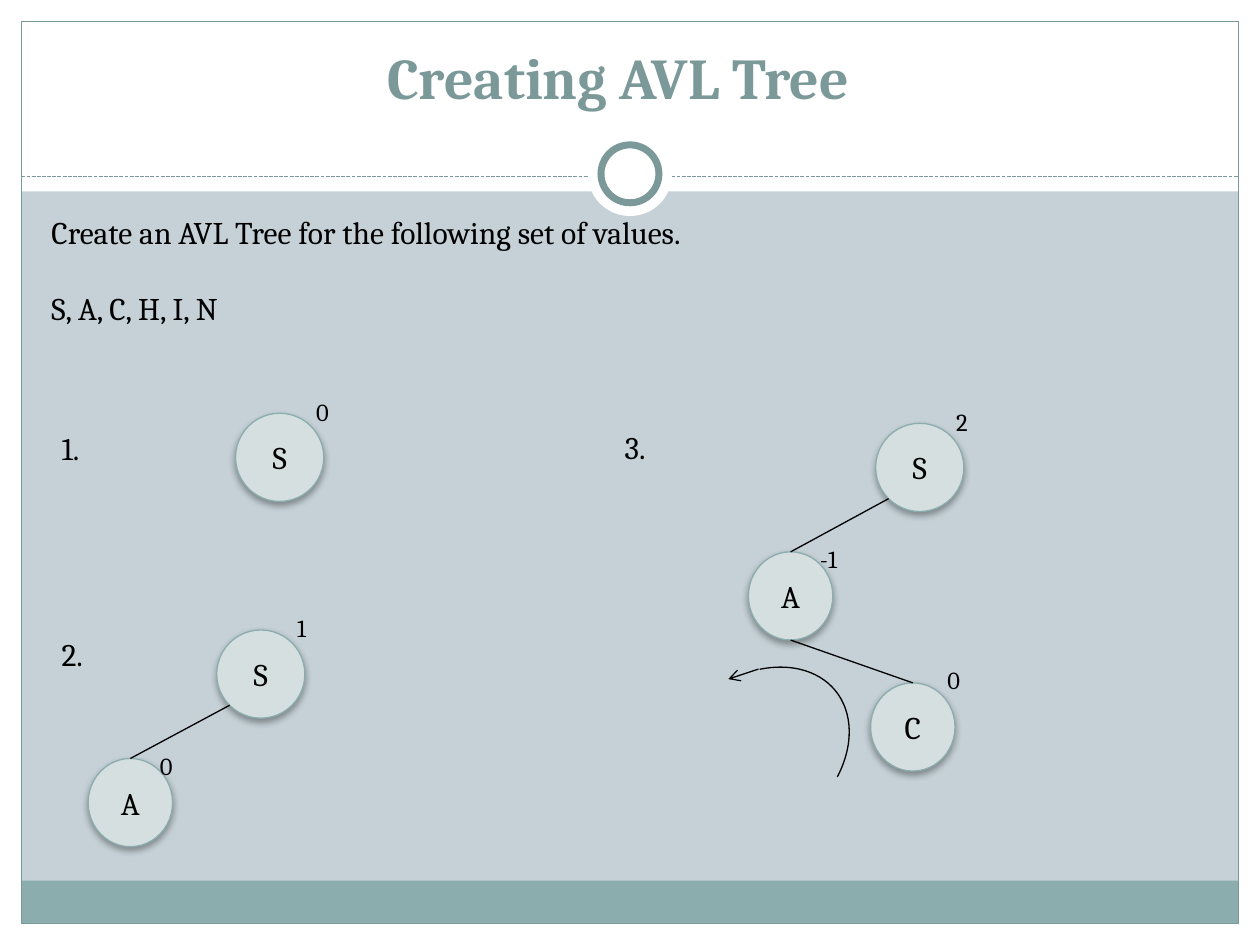
from lxml import etree
from pptx import Presentation
from pptx.dml.color import RGBColor
from pptx.enum.dml import MSO_LINE
from pptx.enum.shapes import MSO_CONNECTOR, MSO_SHAPE
from pptx.enum.text import MSO_ANCHOR, MSO_AUTO_SIZE, PP_ALIGN
from pptx.oxml.ns import qn
from pptx.util import Inches, Pt

RECT, OVAL, ARC = MSO_SHAPE.RECTANGLE, MSO_SHAPE.OVAL, MSO_SHAPE.ARC
STRAIGHT, DASH = MSO_CONNECTOR.STRAIGHT, MSO_LINE.SQUARE_DOT
CENTER, MIDDLE, BOTTOM = PP_ALIGN.CENTER, MSO_ANCHOR.MIDDLE, MSO_ANCHOR.BOTTOM
GROW, NO_FIT = MSO_AUTO_SIZE.SHAPE_TO_FIT_TEXT, MSO_AUTO_SIZE.NONE

COLORS = {
    "background": "C5D1D7",
    "paper": "FFFFFF",
    "band": "8CADAE",
    "accent": "7C999A",
    "node": "D5DFDF",
    "ink": "000000",
}
TITLE = {"size": Pt(33), "name": "Cambria", "bold": True}
BODY = {"size": Pt(18), "name": "Cambria"}
SMALL = {"size": Pt(14), "name": "Cambria"}

LABEL_WIDTHS = {"0": 0.32, "1": 0.29, "2": 0.31, "-1": 0.36,
                "1.": 0.38, "2.": 0.41, "3.": 0.41}
NODE_HEIGHT = 0.7
# node: width, then offset of its balance factor
NODE_KINDS = {"S": (0.7, 0.54, -0.18), "A": (0.67, 0.47, -0.11), "C": (0.67, 0.51, -0.19)}
RIM = 0.5 ** 0.5 / 2  # share of the diameter from centre to the diagonal rim point


def rgb(name):
    return RGBColor.from_string(COLORS[name])


def add_shape(slide, kind, box, fill=None, line=None, weight=0.75):
    shape = slide.shapes.add_shape(kind, *map(Inches, box))
    shape.shadow.inherit = False
    if fill:
        shape.fill.solid()
        shape.fill.fore_color.rgb = rgb(fill)
    else:
        shape.fill.background()
    if line:
        shape.line.color.rgb = rgb(line)
        shape.line.width = Pt(weight)
    else:
        shape.line.fill.background()
    return shape


def add_line(slide, start, end, color="ink"):
    line = slide.shapes.add_connector(STRAIGHT, *map(Inches, (*start, *end)))
    line.line.color.rgb = rgb(color)
    line.line.width = Pt(0.75)
    etree.SubElement(line._element.spPr, qn("a:effectLst"))
    return line


def write(frame, lines, style, color="ink", align=None, gap=0):
    for index, text in enumerate(lines):
        paragraph = frame.paragraphs[0] if index == 0 else frame.add_paragraph()
        paragraph.alignment = align
        if index:
            paragraph.space_before = Pt(gap)
        run = paragraph.add_run()
        run.text = text
        run.font.color.rgb = rgb(color)
        for key, value in style.items():
            setattr(run.font, key, value)


def add_text(slide, box, lines, style, wrap=True, fit=GROW, anchor=None, **options):
    frame = slide.shapes.add_textbox(*map(Inches, box)).text_frame
    frame.word_wrap, frame.auto_size, frame.vertical_anchor = wrap, fit, anchor
    write(frame, lines, style, **options)


def add_label(slide, left, top, text, style, height):
    add_text(slide, (left, top, LABEL_WIDTHS[text], height), [text], style, wrap=False)


def add_soft_shadow(shape):
    effects = shape._element.spPr.find(qn("a:effectLst"))
    shadow = etree.SubElement(effects, qn("a:outerShdw"), blurRad=str(Pt(4)),
                              dist=str(Pt(2)), dir="5400000", rotWithShape="0")
    color = etree.SubElement(shadow, qn("a:srgbClr"), val=COLORS["ink"])
    etree.SubElement(color, qn("a:alpha"), val="35000")


def draw_frame(slide, width, height):
    """Margins, footer band, border and the ringed divider of the theme."""
    margin, header, divider, band = 0.17, 1.52, 1.4, 0.34
    inner = width - 2 * margin
    bottom = height - margin
    for box in ((0, bottom, width, margin), (0, 0, width, header),
                (0, 0, margin, height), (width - margin, 0, margin, height)):
        add_shape(slide, RECT, box, "paper")
    add_shape(slide, RECT, (margin, bottom - band, inner, band), "band")
    add_shape(slide, RECT, (margin, margin, inner, height - 2 * margin), line="accent")
    rule = add_line(slide, (margin, divider), (width - margin, divider), "accent")
    rule.line.dash_style = DASH
    for size, line in ((0.67, None), (0.46, "accent")):
        add_shape(slide, OVAL, ((width - size) / 2, 1.38 - size / 2, size, size),
                  "paper", line, 4)


def draw_node(slide, left, top, name, balance):
    width, balance_x, balance_y = NODE_KINDS[name]
    node = add_shape(slide, OVAL, (left, top, width, NODE_HEIGHT), "node", "band")
    add_soft_shadow(node)
    node.text_frame.vertical_anchor = MIDDLE
    write(node.text_frame, [name], BODY, align=CENTER)
    add_label(slide, left + balance_x, top + balance_y, balance, SMALL, 0.34)


def draw_step(slide, left, top, number, nodes):
    """A numbered tree that is one chain; nodes are (name, balance, x, y)."""
    add_label(slide, left, top, number, BODY, 0.4)
    for name, balance, x, y in nodes:
        draw_node(slide, left + x, top + y, name, balance)
    for (parent, _, px, py), (child, _, cx, cy) in zip(nodes, nodes[1:]):
        parent_width, child_width = NODE_KINDS[parent][0], NODE_KINDS[child][0]
        start_x = left + px + parent_width / 2
        start_y = top + py + NODE_HEIGHT
        if cx < px:  # a left child hangs from the lower left rim
            start_x -= parent_width * RIM
            start_y -= NODE_HEIGHT * (0.5 - RIM)
        add_line(slide, (start_x, start_y), (left + cx + child_width / 2, top + cy))


def draw_rotation(slide, left, top):
    """Curved arrow for a left rotation."""
    curve = add_shape(slide, ARC, (left, top, 1.25, 1.69), line="ink")
    curve.rotation = 50.9
    curve.adjustments[0], curve.adjustments[1] = 134.12, 193.08
    tip = add_line(slide, (left + 0.67, top + 0.14), (left + 0.43, top + 0.22))
    etree.SubElement(tip.line._get_or_add_ln(), qn("a:tailEnd"), type="arrow")


def main():
    deck = Presentation()
    deck.slide_width, deck.slide_height = Inches(10), Inches(7.5)
    slide = deck.slides.add_slide(deck.slide_layouts[6])
    slide.background.fill.solid()
    slide.background.fill.fore_color.rgb = rgb("background")

    draw_frame(slide, 10, 7.5)
    add_text(slide, (1.87, 0.23, 6.17, 0.7), ["Creating AVL Tree "], TITLE,
             fit=NO_FIT, anchor=BOTTOM, color="accent", align=CENTER)
    add_text(slide, (0.31, 1.64, 9.45, 1.01),
             ["Create an AVL Tree for the following set of values.", "S, A, C, H, I, N"],
             BODY, gap=21.7)

    draw_step(slide, 0.39, 3.36, "1.", [("S", "0", 1.48, -0.08)])
    draw_step(slide, 0.39, 4.99, "2.", [("S", "1", 1.33, 0.01), ("A", "0", 0.31, 1.03)])
    draw_step(slide, 4.86, 3.35, "3.", [("S", "2", 2.09, 0.01), ("A", "-1", 1.08, 1.03),
                                        ("C", "0", 2.05, 2.07)])
    draw_rotation(slide, 5.35, 5.17)
    deck.save("out.pptx")


if __name__ == "__main__":
    main()
